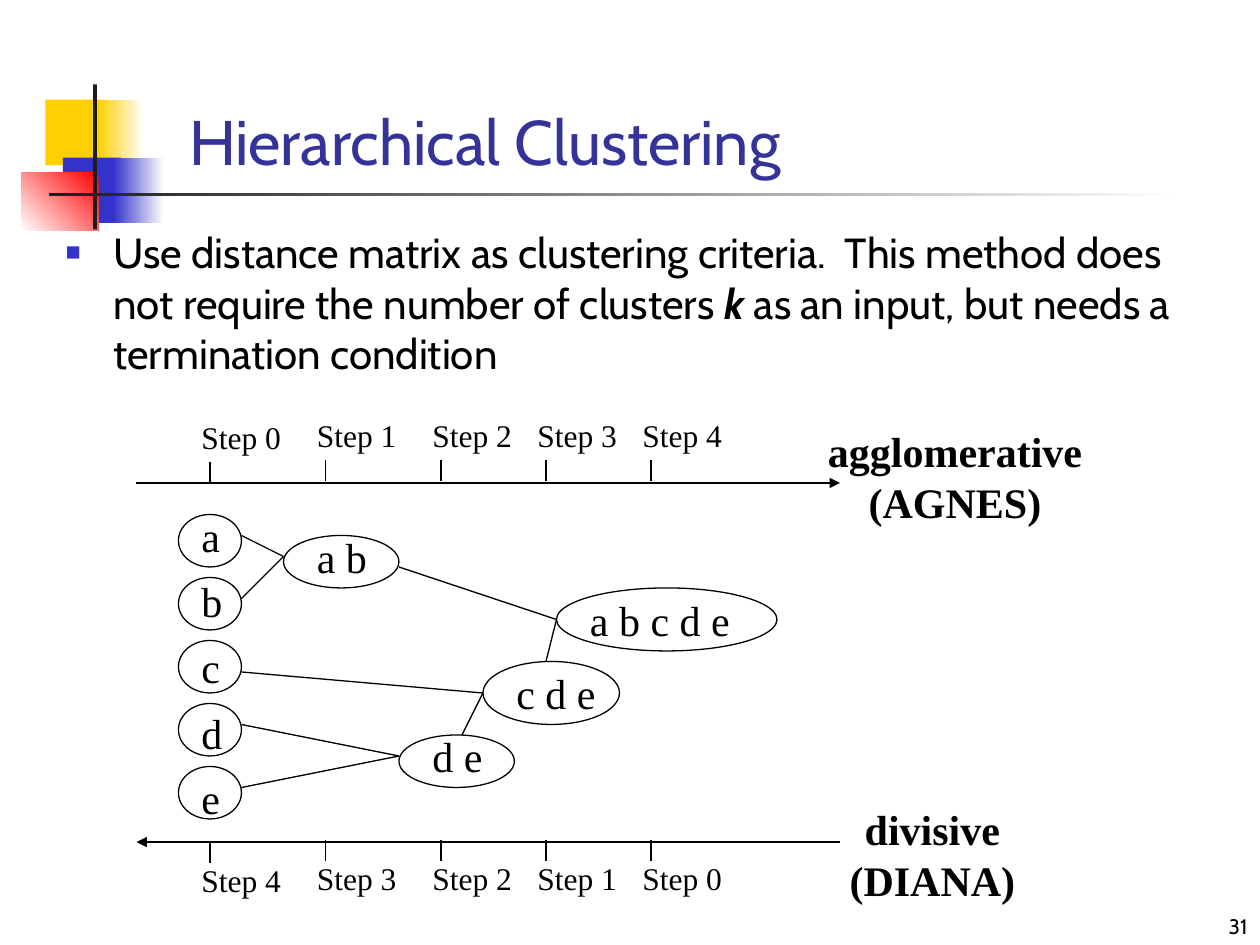
from lxml.etree import SubElement
from pptx import Presentation
from pptx.dml.color import RGBColor
from pptx.enum.shapes import MSO_CONNECTOR as Connector, MSO_SHAPE as Shape
from pptx.enum.text import MSO_ANCHOR as Anchor, MSO_AUTO_SIZE as AutoSize, PP_ALIGN as Align
from pptx.oxml.ns import qn
from pptx.util import Inches, Pt

COLORS = {
    "yellow": "FFCF01", "blue": "3333CC", "red": "FF0000", "dark": "1C1C1C",
    "white": "FFFFFF", "title": "333399", "black": "000000",
}
SANS, SERIF = "Cabin", "Times New Roman"
TITLE = {"name": SANS, "size": Pt(36)}
BODY = {"name": SANS, "size": Pt(24)}
NUMBER = {"name": SANS, "size": Pt(12)}
STEP = {"name": SERIF, "size": Pt(18)}
NODE = {"name": SERIF, "size": Pt(24)}
CAPTION = {**NODE, "bold": True}

# Left, top, width, height in inches; start colour, end colour, angle
ORNAMENTS = [
    ((0.36, 0.79, 0.48, 0.52), "yellow", None, None),
    ((0.78, 0.79, 0.36, 0.52), "white", "yellow", 180),
    ((0.5, 1.25, 0.46, 0.52), "blue", None, None),
    ((0.9, 1.25, 0.4, 0.52), "white", "blue", 180),
    ((0.17, 1.37, 0.61, 0.46), "red", "white", 225),
    ((0.74, 0.67, 0.03, 1.15), "dark", None, None),
    ((0.39, 1.53, 9, 0.03), "white", "dark", 180),
]

# The diagram lies on a grid of twelve cells to the inch
TICK_COLUMNS = [20, 31, 42, 52, 62]
AXIS_ENDS = (13, 80)
CLUSTERS = [  # name, ellipse box, label column and row
    ("a b", (27, 51, 11, 5), (29, 50)),
    ("d e", (38, 70, 11, 5), (40, 69)),
    ("c d e", (46, 63, 13, 6), (48, 63)),
    ("a b c d e", (53, 56, 21, 6), (55, 56)),
]
BRANCHES = [  # column and row of both ends
    (23, 51, 27, 53), (23, 57, 27, 53),
    (23, 69, 38, 72), (23, 75, 38, 72),
    (23, 64, 46, 66), (44, 70, 46, 66),
    (38, 54, 53, 59), (52, 63, 53, 59),
]


def color(name):
    return RGBColor.from_string(COLORS[name])


def grid(*cells):
    return [Inches(cell / 12) for cell in cells]


def format_font(font, values, color_name="black"):
    for attribute, value in values.items():
        setattr(font, attribute, value)
    font.color.rgb = color(color_name)


def place(shape, *box):
    for attribute, value in zip(("left", "top", "width", "height"), box):
        setattr(shape, attribute, Inches(value))


def add_ornament(slide, box, start, end, angle):
    shape = slide.shapes.add_shape(Shape.RECTANGLE, *map(Inches, box))
    shape.shadow.inherit = False
    shape.line.fill.background()
    if end is None:
        shape.fill.solid()
        shape.fill.fore_color.rgb = color(start)
        return
    shape.fill.gradient()
    shape.fill.gradient_angle = angle
    for stop, position, name in zip(shape.fill.gradient_stops, (0, 1), (start, end)):
        stop.position = position
        stop.color.rgb = color(name)


def add_title(slide, text):
    title = slide.shapes.title
    place(title, 1.4, 0.87, 7.98, 0.48)
    title.text_frame.auto_size = AutoSize.NONE
    title.text_frame.vertical_anchor = Anchor.MIDDLE
    paragraph = title.text_frame.paragraphs[0]
    paragraph.text, paragraph.alignment = text, Align.LEFT
    format_font(paragraph.runs[0].font, TITLE, "title")


def add_bullet(paragraph):
    properties = paragraph._p.get_or_add_pPr()
    properties.set("marL", str(Inches(0.38)))
    properties.set("indent", str(-Inches(0.38)))
    bullet_color = SubElement(properties, qn("a:buClr"))
    SubElement(bullet_color, qn("a:srgbClr"), val=COLORS["blue"])
    SubElement(properties, qn("a:buSzPct"), val="60000")
    SubElement(properties, qn("a:buFont"), typeface=SERIF)
    SubElement(properties, qn("a:buChar"), char="■")


def add_body(slide, pieces):
    body = slide.placeholders[1]
    place(body, 0.42, 1.75, 9.08, 5.33)
    body.text_frame.auto_size = AutoSize.NONE
    paragraph = body.text_frame.paragraphs[0]
    paragraph.space_before = Pt(0)
    add_bullet(paragraph)
    for text, emphasis in pieces:
        run = paragraph.add_run()
        run.text = text
        format_font(run.font, {**BODY, "bold": emphasis, "italic": emphasis})


def add_text(slide, box, text, font, align=Align.LEFT, anchor=Anchor.TOP):
    frame = slide.shapes.add_textbox(*box).text_frame
    frame.word_wrap = True
    frame.vertical_anchor = anchor
    frame.text = text
    for paragraph in frame.paragraphs:
        paragraph.alignment = align
        format_font(paragraph.runs[0].font, font)


def add_line(slide, ends, width=0.75, arrow=None):
    line = slide.shapes.add_connector(Connector.STRAIGHT, *grid(*ends))
    line.line.color.rgb = color("black")
    line.line.width = Pt(width)
    if arrow:
        SubElement(line.line._get_or_add_ln(), qn(f"a:{arrow}"), type="triangle")
    SubElement(line._element.spPr, qn("a:effectLst"))


def add_node(slide, name, box, label):
    ellipse = slide.shapes.add_shape(Shape.OVAL, *grid(*box))
    ellipse.shadow.inherit = False
    ellipse.fill.background()
    ellipse.line.color.rgb = color("black")
    ellipse.line.width = Pt(0.75)
    add_text(slide, grid(*label, box[2], 6), name, NODE)


def add_axis(slide, row, tick_row, label_row, steps, arrow):
    left, right = AXIS_ENDS
    add_line(slide, (left, row, right, row), 1.5, arrow)
    for index, (column, step) in enumerate(zip(TICK_COLUMNS, steps)):
        lift = 0.2 if index else 0  # the first step sits slightly lower
        top = tick_row - lift
        add_line(slide, (column, top, column, top + 2))
        add_text(slide, grid(column - 2, label_row - lift, 10, 4.8), f"Step {step}", STEP)


def main():
    presentation = Presentation()
    presentation.slide_width, presentation.slide_height = Inches(10), Inches(7.5)
    slide = presentation.slides.add_slide(presentation.slide_layouts[1])

    # Heading and text
    for ornament in ORNAMENTS:
        add_ornament(slide, *ornament)
    add_title(slide, "Hierarchical Clustering")
    add_body(slide, [
        ("Use distance matrix as clustering criteria.  This method does not "
         "require the number of clusters ", False),
        ("k", True),
        (" as an input, but needs a termination condition", False),
    ])

    # Step axes in both directions
    add_axis(slide, 46, 44, 39.2, range(5), "tailEnd")
    add_axis(slide, 80.2, 80.2, 81.4, reversed(range(5)), "headEnd")

    # Cluster tree
    for index, letter in enumerate("abcde"):
        add_node(slide, letter, (17, 49 + 6 * index, 6, 5), (18, 48 + 6.25 * index))
    for cluster in CLUSTERS:
        add_node(slide, *cluster)
    for branch in BRANCHES:
        add_line(slide, branch)

    # Captions and slide number
    for box, text in [((6.38, 3.33, 2.4, 0.9), "agglomerative\n(AGNES)"),
                      ((6.5, 6.33, 1.8, 0.9), "divisive\n(DIANA)")]:
        add_text(slide, map(Inches, box), text, CAPTION, Align.CENTER)
    add_text(slide, map(Inches, (7.92, 7.08, 2.08, 0.42)), "31", NUMBER,
             Align.RIGHT, Anchor.BOTTOM)

    presentation.save("out.pptx")


if __name__ == "__main__":
    main()
